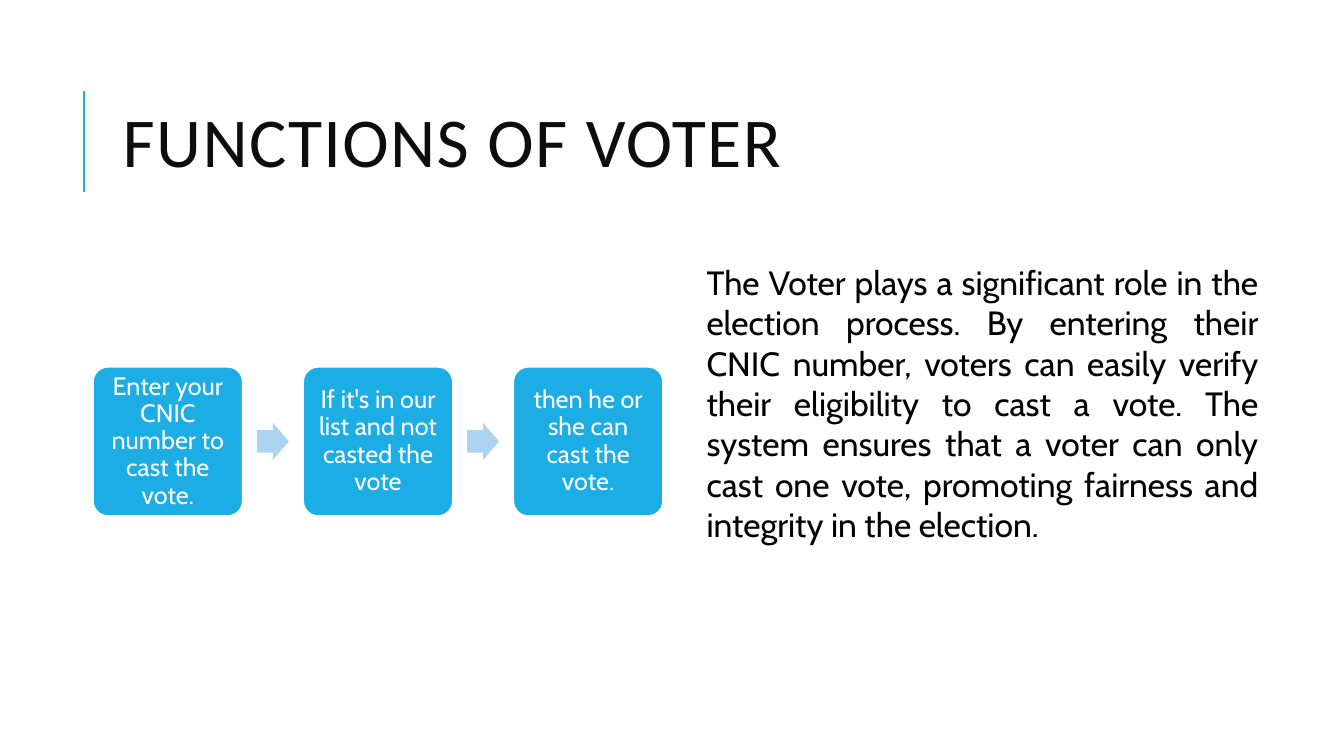
from lxml import etree
from pptx import Presentation
from pptx.dml.color import RGBColor
from pptx.enum.shapes import MSO_CONNECTOR, MSO_SHAPE
from pptx.enum.text import MSO_ANCHOR, PP_ALIGN
from pptx.oxml.ns import qn
from pptx.util import Pt

BLUE = RGBColor(0x1C, 0xAD, 0xE4)
PALE_BLUE = RGBColor(0xAC, 0xD3, 0xEF)
NEAR_BLACK = RGBColor(0x0D, 0x0D, 0x0D)
BLACK = RGBColor(0, 0, 0)
WHITE = RGBColor(0xFF, 0xFF, 0xFF)

TITLE = "FUNCTIONS OF VOTER"
STEPS = [
    "Enter your CNIC number to cast the vote.",
    "If it's in our list and not casted the vote",
    "then he or she can cast the vote.",
]
DESCRIPTION = (
    "The Voter plays a significant role in the election process. By entering "
    "their CNIC number, voters can easily verify their eligibility to cast a "
    "vote. The system ensures that a voter can only cast one vote, promoting "
    "fairness and integrity in the election."
)


def write_text(shape, text, font_name, size, color, alignment):
    """Fill the shape with one wrapped paragraph and return that paragraph."""
    frame = shape.text_frame
    frame.word_wrap = True
    paragraph = frame.paragraphs[0]
    paragraph.text = text
    paragraph.alignment = alignment
    font = paragraph.font
    font.name, font.size, font.color.rgb = font_name, Pt(size), color
    return paragraph


def add_title(slide, left, top, width, height):
    """Place the title with the accent rule to its left."""
    rule_left, rule_top, rule_height = left - 20.6, top + 19, 72
    rule = slide.shapes.add_connector(
        MSO_CONNECTOR.STRAIGHT, Pt(rule_left), Pt(rule_top + rule_height),
        Pt(rule_left), Pt(rule_top))
    rule.line.color.rgb = BLUE
    rule.line.width = Pt(1.5)
    etree.SubElement(rule._element.spPr, qn("a:effectLst"))

    box = slide.shapes.add_textbox(Pt(left), Pt(top), Pt(width), Pt(height))
    box.text_frame.vertical_anchor = MSO_ANCHOR.MIDDLE
    paragraph = write_text(box, TITLE, "Calibri", 50, NEAR_BLACK, PP_ALIGN.LEFT)
    paragraph.line_spacing = 0.8
    paragraph.runs[0].font._element.set("spc", "100")


def add_step(slide, text, left, top, width, height):
    step = slide.shapes.add_shape(
        MSO_SHAPE.ROUNDED_RECTANGLE, Pt(left), Pt(top), Pt(width), Pt(height))
    step.adjustments[0] = 0.1
    step.shadow.inherit = False
    step.fill.solid()
    step.fill.fore_color.rgb = BLUE
    step.line.color.rgb = WHITE
    step.line.width = Pt(1.25)
    frame = step.text_frame
    frame.vertical_anchor = MSO_ANCHOR.MIDDLE
    frame.margin_left = frame.margin_right = Pt(5)
    frame.margin_top = frame.margin_bottom = Pt(5)
    paragraph = write_text(step, text, "Cabin", 18, WHITE, PP_ALIGN.CENTER)
    paragraph.line_spacing = 0.9


def add_arrow(slide, left, top, width, height):
    arrow = slide.shapes.add_shape(
        MSO_SHAPE.RIGHT_ARROW, Pt(left), Pt(top), Pt(width), Pt(height))
    arrow.adjustments[0] = 0.6
    arrow.adjustments[1] = 0.5
    arrow.shadow.inherit = False
    arrow.fill.solid()
    arrow.fill.fore_color.rgb = PALE_BLUE
    arrow.line.fill.background()


def add_process(slide, left, top, width, height):
    """Spread the steps over the box, with an arrow in each gap."""
    step_width, arrow_width, arrow_height = 107, 22.8, 26.6
    pitch = (width - step_width) / (len(STEPS) - 1)
    arrow_offset = step_width + (pitch - step_width - arrow_width) / 2
    for index, text in enumerate(STEPS):
        step_left = left + index * pitch
        if index:
            add_arrow(slide, step_left - pitch + arrow_offset,
                      top + (height - arrow_height) / 2,
                      arrow_width, arrow_height)
        add_step(slide, text, step_left, top, step_width, height)


def add_description(slide, left, top, width, height):
    box = slide.shapes.add_textbox(Pt(left), Pt(top), Pt(width), Pt(height))
    write_text(box, DESCRIPTION, "Cabin", 24, BLACK, PP_ALIGN.JUSTIFY)


def main():
    presentation = Presentation()
    presentation.slide_width, presentation.slide_height = Pt(960), Pt(540)
    slide = presentation.slides.add_slide(presentation.slide_layouts[6])
    add_title(slide, 80.6, 46, 765.4, 118)
    add_process(slide, 66.4, 262, 407.2, 106.6)
    add_description(slide, 497.6, 183.6, 408.4, 240)
    presentation.save("out.pptx")


if __name__ == "__main__":
    main()
